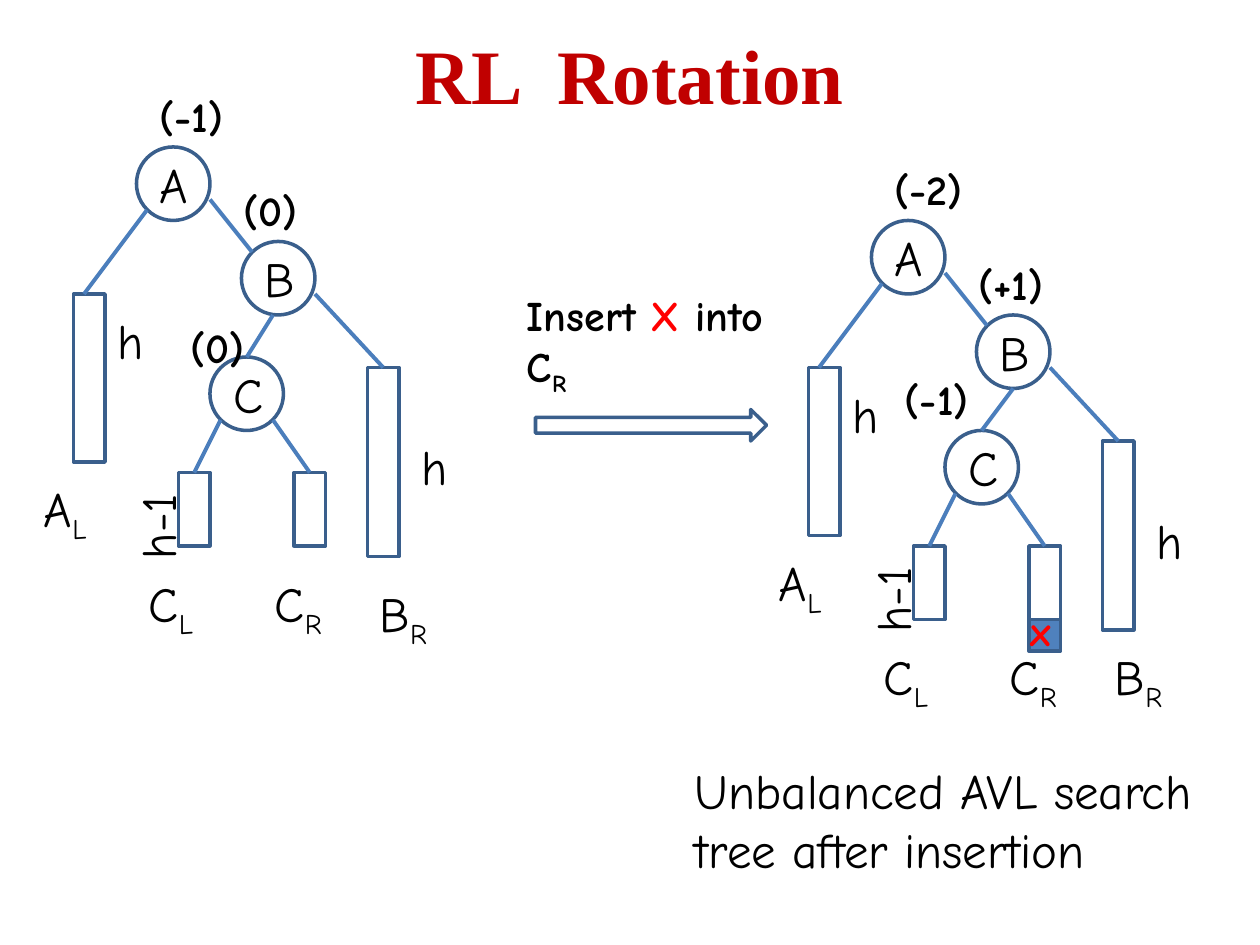
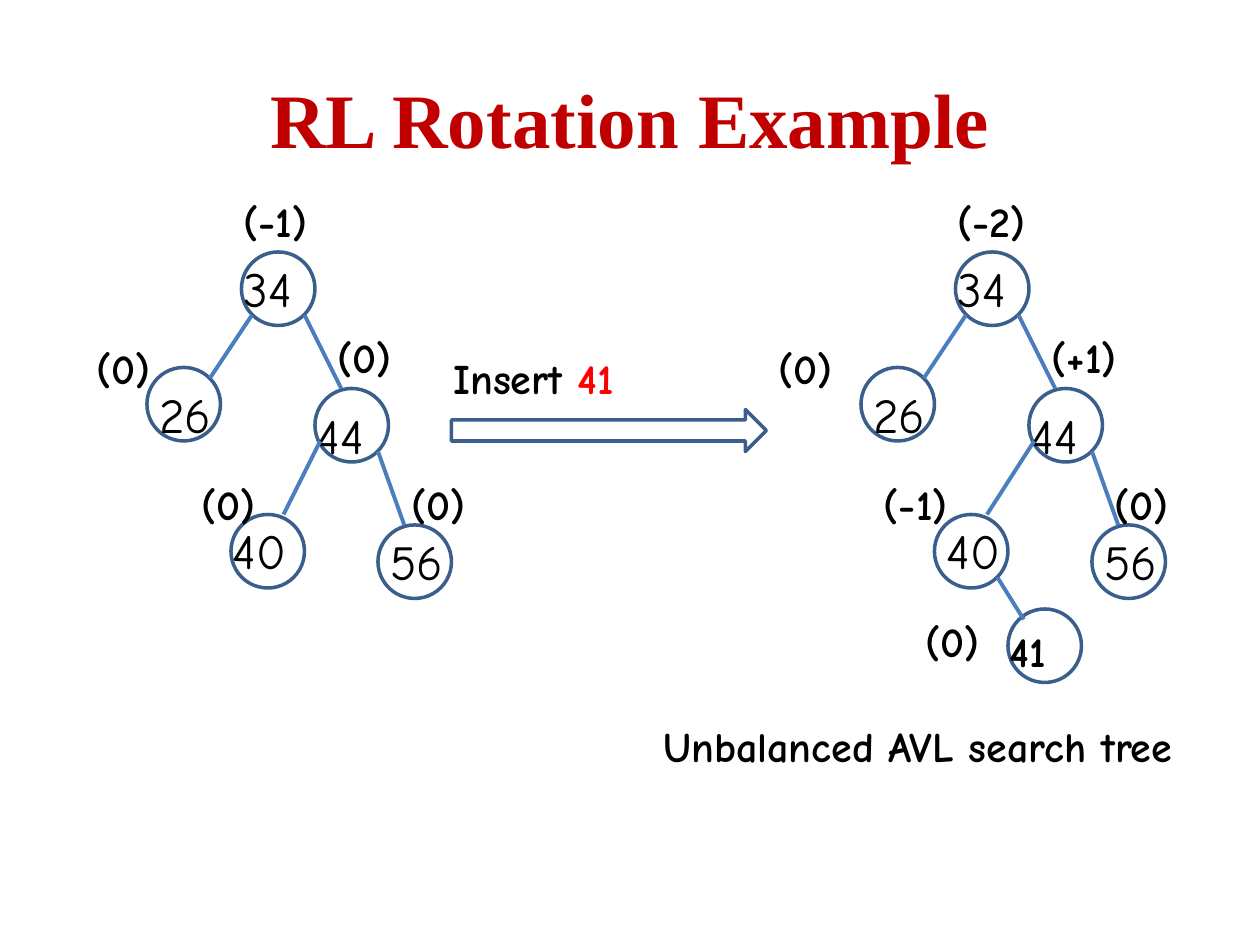
import pptx
import pptx.util
import pptx.dml.color
import pptx.enum.shapes
import pptx.enum.text
import pptx.oxml

Pt = pptx.util.Pt
RGBColor = pptx.dml.color.RGBColor
SHAPE = pptx.enum.shapes.MSO_SHAPE
STRAIGHT = pptx.enum.shapes.MSO_CONNECTOR.STRAIGHT
CENTER = pptx.enum.text.PP_ALIGN.CENTER
MIDDLE = pptx.enum.text.MSO_ANCHOR.MIDDLE
GROW = pptx.enum.text.MSO_AUTO_SIZE.SHAPE_TO_FIT_TEXT

BLACK = RGBColor(0x00, 0x00, 0x00)
RED = RGBColor(0xFF, 0x00, 0x00)
TITLE_RED = RGBColor(0xC0, 0x00, 0x00)
OUTLINE_BLUE = RGBColor(0x3A, 0x5F, 0x8C)
EDGE_BLUE = RGBColor(0x4B, 0x7E, 0xBC)
FILL_BLUE = RGBColor(0x4F, 0x81, 0xBD)
BODY_FONT = "Comic Neue"
TITLE_FONT = "Times New Roman"
NODE = 42
BAR = 18


def write(text, page=None, place=None, box=None, size=28, bold=False,
          color=BLACK, font=BODY_FONT, align=None, subscript=False):
    if box is None:
        box = page.shapes.add_textbox(*map(Pt, place))
        box.text_frame.word_wrap = True
        box.text_frame.auto_size = GROW
    para = box.text_frame.paragraphs[0]
    if align is not None:
        para.alignment = align
        box.text_frame.vertical_anchor = MIDDLE
    span = para.add_run()
    span.text = text
    span.font.name = font
    span.font.size = Pt(size)
    span.font.bold = bold
    span.font.color.rgb = color
    if subscript:
        span.font._element.set("baseline", "-25000")
    return box


def draw(page, kind, *place, fill=None):
    shape = page.shapes.add_shape(kind, *map(Pt, place))
    shape.shadow.inherit = False
    shape.line.color.rgb = OUTLINE_BLUE
    shape.line.width = Pt(2)
    if fill is None:
        shape.fill.background()
    else:
        shape.fill.solid()
        shape.fill.fore_color.rgb = fill
    return shape


deck = pptx.Presentation()
deck.slide_width = Pt(720)
deck.slide_height = Pt(540)

pages = []
for title, top, height in (("RL  Rotation", 12, 60), ("RL Rotation Example", 22, 90)):
    page = deck.slides.add_slide(deck.slide_layouts[5])
    heading = page.shapes.title
    heading.left, heading.top = Pt(36), Pt(top)
    heading.width, heading.height = Pt(648), Pt(height)
    write(title, box=heading, size=44, bold=True, color=TITLE_RED, font=TITLE_FONT, align=CENTER)
    pages.append(page)
rotation_page, example_page = pages
edges = []

rotation_trees = (
    (0, 0, 156, 330, (("(-1)", 84, 48, 90), ("(0)", 132, 102, 90), ("(0)", 102, 180, 48))),
    (420, 42, 159, 324, (("(-2)", 84, 48, 90), ("(+1)", 132, 102, 90), ("(-1)", 90, 168, 66))),
)
for right, down, b_foot, br_top, balances in rotation_trees:
    for name, x, y in (("A", 78, 84), ("B", 138, 138), ("C", 120, 204)):
        node = draw(rotation_page, SHAPE.OVAL, x + right, y + down, NODE, NODE)
        write(name, box=node, align=CENTER)

    bars = {}
    for name, x, y, height in (("AL", 42, 168, 96), ("CL", 102, 270, 42),
                               ("CR", 168, 270, 42), ("BR", 210, 210, 108)):
        bars[name] = draw(rotation_page, SHAPE.RECTANGLE, x + right, y + down, BAR, height)

    for x1, y1, x2, y2, bar in (
        (84, 120, 48, 168, None),
        (120, 114, 144, 144, None),
        (b_foot, 180, 141, 204, None),
        (180, 168, 219, 210, "BR"),
        (126, 240, 111, 270, "CL"),
        (156, 240, 177, 270, "CR"),
    ):
        edges.append((rotation_page, x1 + right, y1 + down, x2 + right, y2 + down, bars.get(bar)))

    for name, x, y in (("AL", 18, 270), ("CL", 78, 324), ("CR", 150, 324), ("BR", 210, br_top)):
        label = write(name[0], page=rotation_page, place=(x + right, y + down, 60, 41))
        write(name[1], box=label, subscript=True)

    for x, y in ((60, 174), (234, 246)):
        write("h", page=rotation_page, place=(x + right, y + down, 24, 41))
    height_label = write("h-1", page=rotation_page, place=(42 + right, 258 + down, 96, 41))
    height_label.rotation = 270

    for balance, x, y, width in balances:
        write(balance, page=rotation_page, place=(x + right, y + down, width, 36), size=24, bold=True)

draw(rotation_page, SHAPE.RIGHT_ARROW, 306, 234, 132, 18)
insertion = write("Insert ", page=rotation_page, place=(294, 162, 156, 65.5), size=24, bold=True)
write("X ", box=insertion, size=24, bold=True, color=RED)
write("into C", box=insertion, size=24, bold=True)
write("R", box=insertion, size=24, bold=True, subscript=True)
draw(rotation_page, SHAPE.RECTANGLE, 588, 354, BAR, BAR, fill=FILL_BLUE)
write("x", page=rotation_page, place=(582, 342, 36, 36), size=24, bold=True, color=RED)
write("Unbalanced AVL search tree after insertion", page=rotation_page, place=(390, 431, 312, 109))

example_nodes = (
    ("34", 138, 144, 132, 144, 78),
    ("26", 84, 210, 84, 216, 54),
    ("44", 180, 222, 174, 228, 90),
    ("56", 216, 300, 216, 300, 54),
)
example_edges = ((144, 180, 120, 216), (174, 180, 195, 222), (216, 258, 231, 300))
example_trees = (
    (0, 132, ((183, 252, 162, 294),),
     (("(-1)", 132, 108), ("(0)", 48, 192), ("(0)", 186, 186), ("(0)", 108, 270), ("(0)", 228, 270))),
    (408, 126, ((183, 252, 156, 294), (162, 330, 177, 354)),
     (("(-2)", 132, 108), ("(0)", 30, 192), ("(+1)", 186, 186), ("(-1)", 90, 270),
      ("(0)", 222, 270), ("(0)", 114, 348))),
)
for right, forty_left, lower_edges, balances in example_trees:
    for key, x, y, text_x, text_y, width in example_nodes + (("40", forty_left, 294, 126, 294, 54),):
        draw(example_page, SHAPE.OVAL, x + right, y, NODE, NODE)
        write(key, page=example_page, place=(text_x + right, text_y, width, 41))
    for x1, y1, x2, y2 in example_edges + lower_edges:
        edges.append((example_page, x1 + right, y1, x2 + right, y2, None))
    for balance, x, y in balances:
        write(balance, page=example_page, place=(x + right, y, 66, 36), size=24, bold=True)

draw(example_page, SHAPE.OVAL, 576, 348, NODE, NODE)
write("41", page=example_page, place=(570, 354, 60, 36), size=24, bold=True)
draw(example_page, SHAPE.RIGHT_ARROW, 258, 234, 180, 24)
insertion = write("Insert ", page=example_page, place=(252, 198, 150, 36), size=24, bold=True)
write("41", box=insertion, size=24, bold=True, color=RED)
write("Unbalanced AVL search tree", page=example_page, place=(372, 408, 330, 65.5), size=24, bold=True)

for page, x1, y1, x2, y2, bar in edges:
    edge = page.shapes.add_connector(STRAIGHT, Pt(x1), Pt(y1), Pt(x2), Pt(y2))
    edge.line.color.rgb = EDGE_BLUE
    edge.line.width = Pt(2.25)
    edge._element.spPr.append(pptx.oxml.parse_xml(
        '<a:effectLst xmlns:a="http://schemas.openxmlformats.org/drawingml/2006/main"/>'))
    if bar is not None:
        edge.end_connect(bar, 0)

deck.save("out.pptx")
